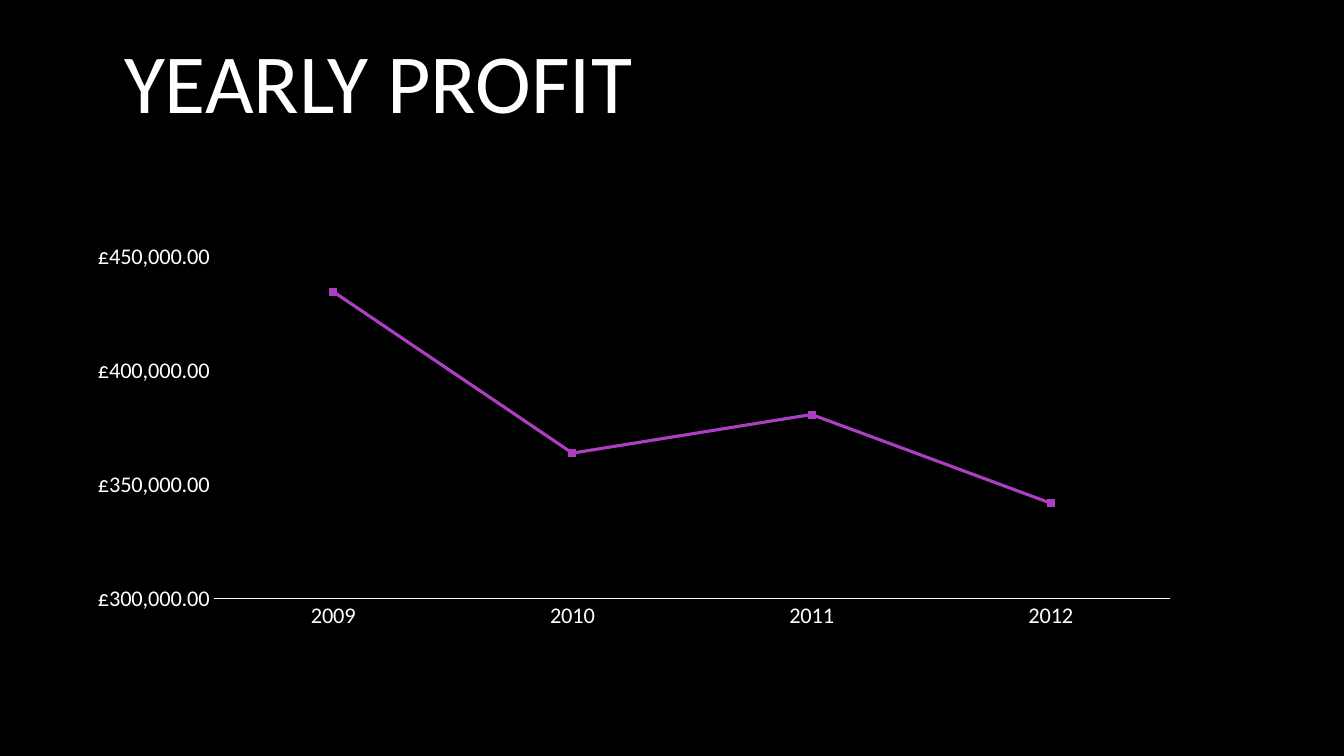
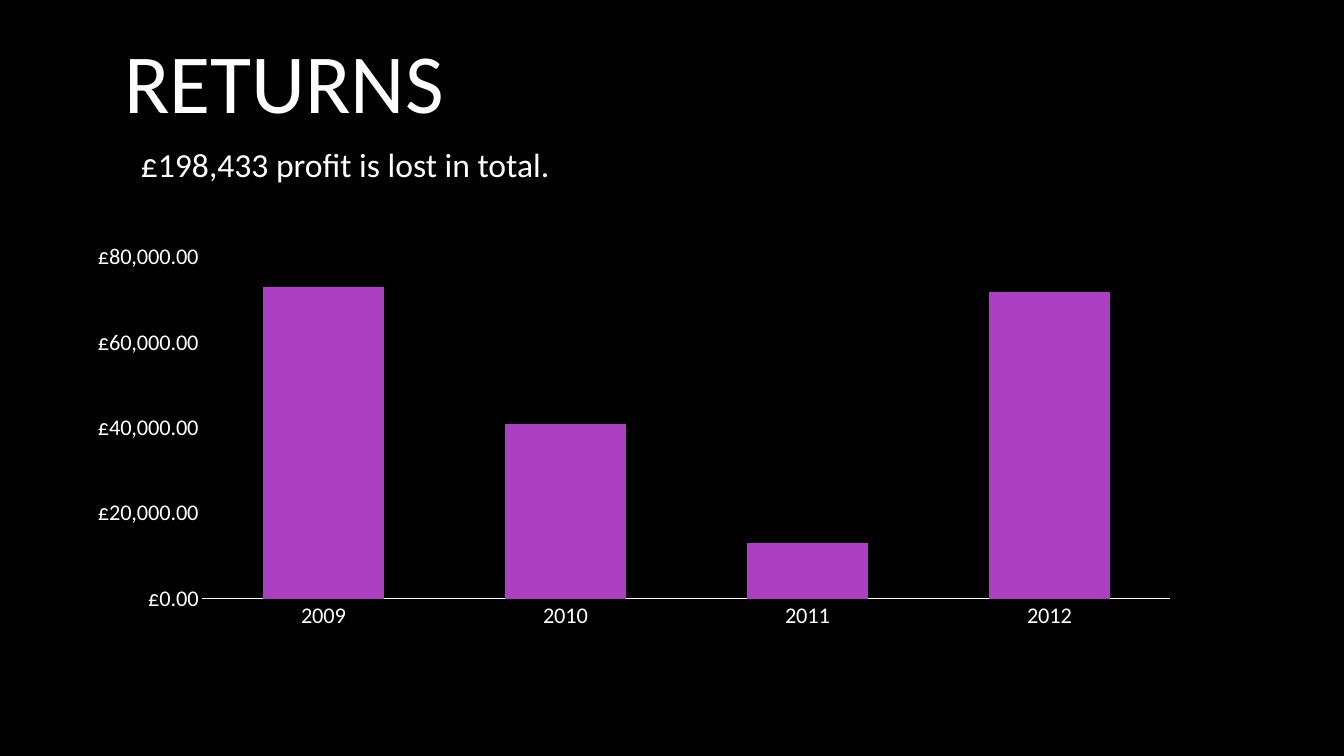
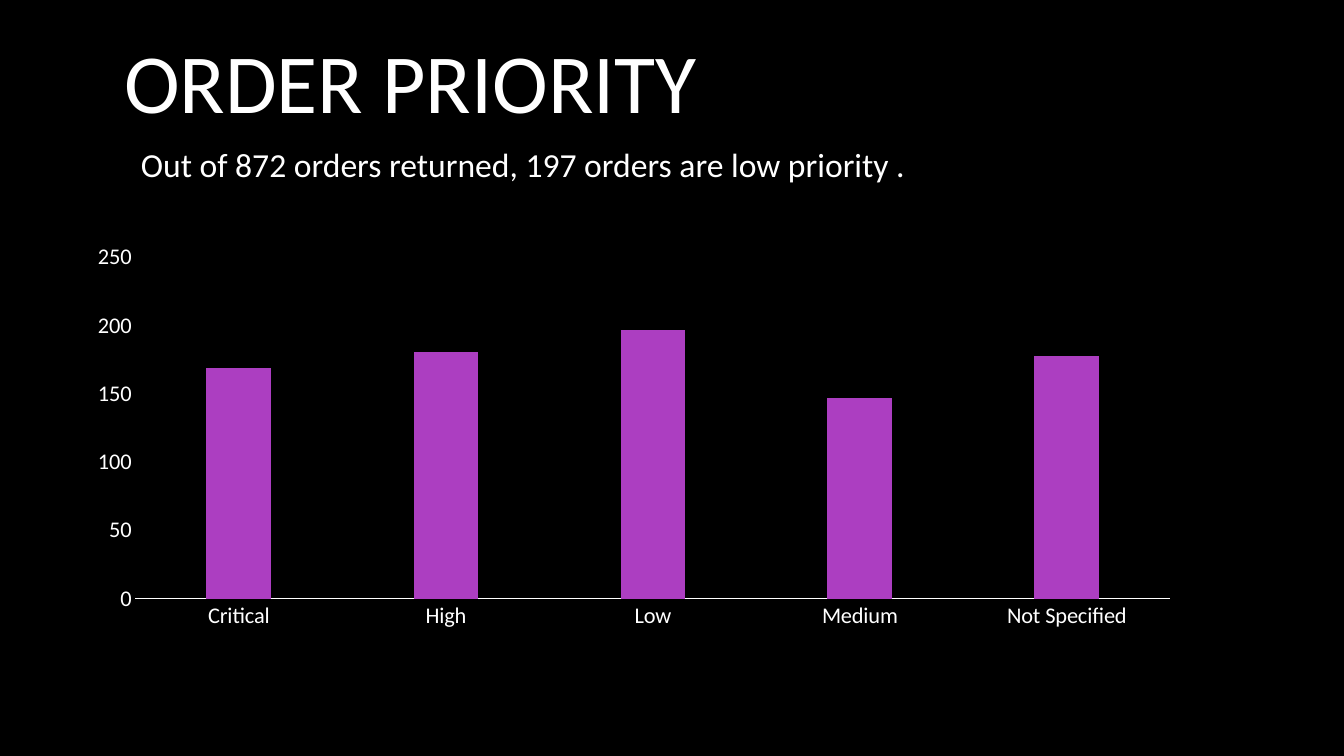
"""Build three chart slides on yearly profit, returns and order priority."""
from pptx import Presentation
from pptx.chart.data import CategoryChartData
from pptx.dml.color import RGBColor
from pptx.enum.chart import XL_CHART_TYPE, XL_TICK_MARK
from pptx.enum.text import MSO_ANCHOR, MSO_AUTO_SIZE, PP_ALIGN
from pptx.util import Inches, Pt

FONT = "Calibri"
BLACK, WHITE, PURPLE = "000000", "FFFFFF", "AC3EC1"
POUNDS = '"£"#,##0.00'
YEARS = ["2009", "2010", "2011", "2012"]
PRIORITIES = ["Critical", "High", "Low", "Medium", "Not Specified"]
LINE, COLUMN = XL_CHART_TYPE.LINE, XL_CHART_TYPE.COLUMN_CLUSTERED

SLIDES = [
    ("YEARLY PROFIT", None, LINE, YEARS, [435000, 364000, 381000, 342000],
     (300000, 450000, 50000), POUNDS, None),
    ("RETURNS", "£198,433 profit is lost in total.", COLUMN, YEARS,
     [73000, 41000, 13000, 72000], (0, 80000, 20000), POUNDS, 100),
    ("ORDER PRIORITY", "Out of 872 orders returned, 197 orders are low priority .",
     COLUMN, PRIORITIES, [169, 181, 197, 147, 178], (0, 250, 50), "General", 219),
]


def rgb(color):
    return RGBColor.from_string(color)


def style(font, size):
    font.name = FONT
    font.size = Pt(size)
    font.color.rgb = rgb(WHITE)


prs = Presentation()
prs.slide_width, prs.slide_height = Inches(13.33), Inches(7.5)
fill = prs.slide_master.background.fill
fill.solid()
fill.fore_color.rgb = rgb(BLACK)

for title, note, kind, cats, vals, scale, fmt, gap in SLIDES:
    s = prs.slides.add_slide(prs.slide_layouts[5])
    sp = s.shapes.title
    sp.left, sp.top, sp.width, sp.height = Inches(1.13), Inches(0), Inches(11.08), Inches(1.59)
    tf = sp.text_frame
    tf.text = title
    tf.vertical_anchor = MSO_ANCHOR.MIDDLE
    p = tf.paragraphs[0]
    p.alignment = PP_ALIGN.LEFT
    style(p.runs[0].font, 60)

    data = CategoryChartData(number_format=fmt)
    data.categories = cats
    data.add_series("Series 1", vals)
    chart = s.shapes.add_chart(kind, Inches(0.75), Inches(2.34),
                               Inches(11.08), Inches(3.99), data).chart
    chart.has_title = False
    chart.has_legend = False
    style(chart.font, 10)

    cat_axis, val_axis = chart.category_axis, chart.value_axis
    for axis in (cat_axis, val_axis):
        axis.major_tick_mark = axis.minor_tick_mark = XL_TICK_MARK.NONE
        axis.has_major_gridlines = False
        style(axis.tick_labels.font, 16)
    cat_axis.format.line.color.rgb = rgb(WHITE)
    cat_axis.format.line.width = Pt(0.75)
    val_axis.format.line.fill.background()
    val_axis.minimum_scale, val_axis.maximum_scale, val_axis.major_unit = scale
    val_axis.tick_labels.number_format = fmt
    val_axis.tick_labels.number_format_is_linked = False

    plot = chart.plots[0]
    plot.vary_by_categories = False
    series = plot.series[0]
    if kind == LINE:
        series.smooth = False
        series.marker.style = None
        series.format.line.color.rgb = rgb(PURPLE)
        series.format.line.width = Pt(2.25)
    else:
        plot.gap_width, plot.overlap = gap, -27
        series.format.fill.solid()
        series.format.fill.fore_color.rgb = rgb(PURPLE)

    if note:
        tf = s.shapes.add_textbox(Inches(1.3), Inches(1.38), Inches(10.73), Inches(0.5)).text_frame
        tf.word_wrap = True
        tf.auto_size = MSO_AUTO_SIZE.SHAPE_TO_FIT_TEXT
        tf.text = note
        style(tf.paragraphs[0].runs[0].font, 24)

prs.save("out.pptx")
